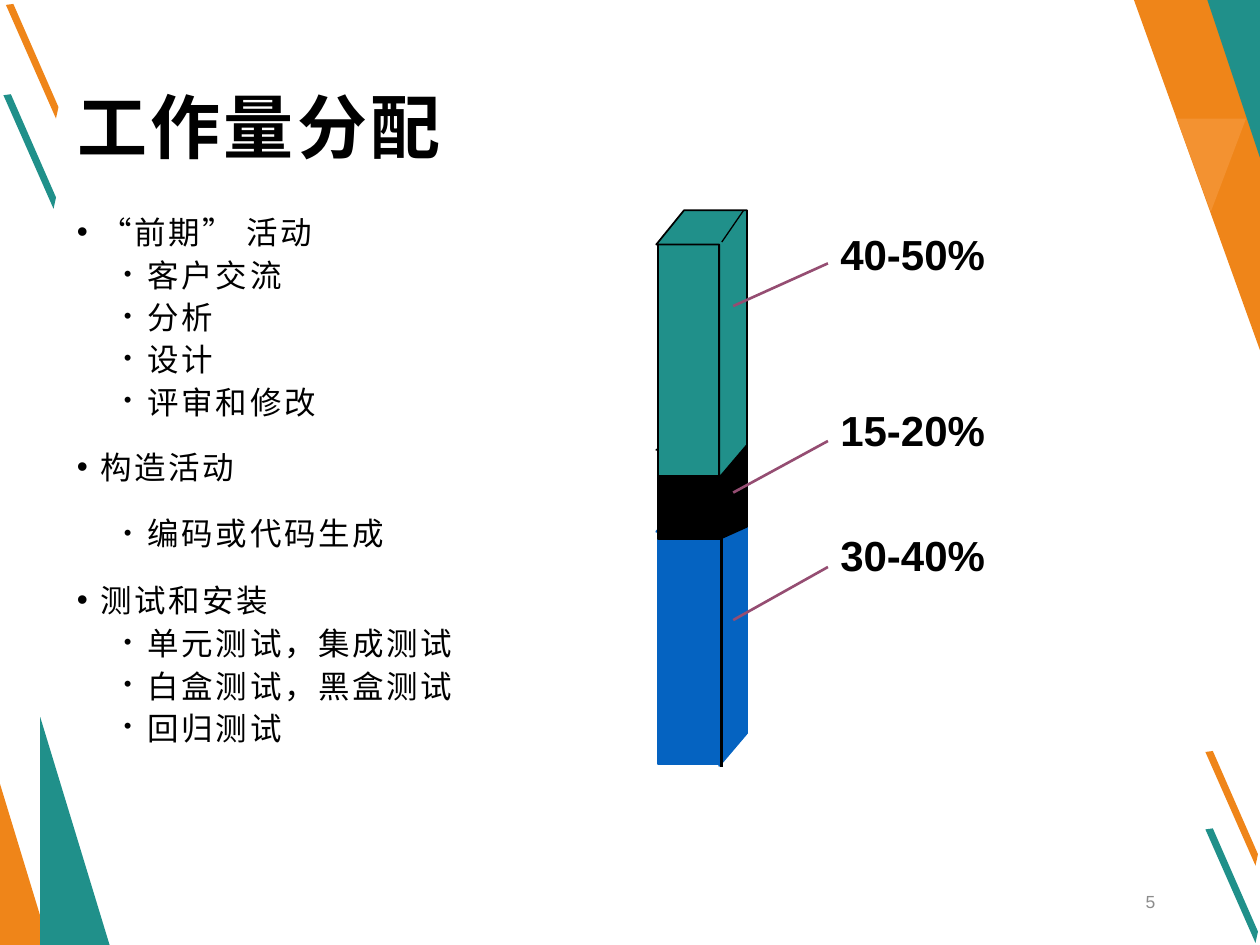
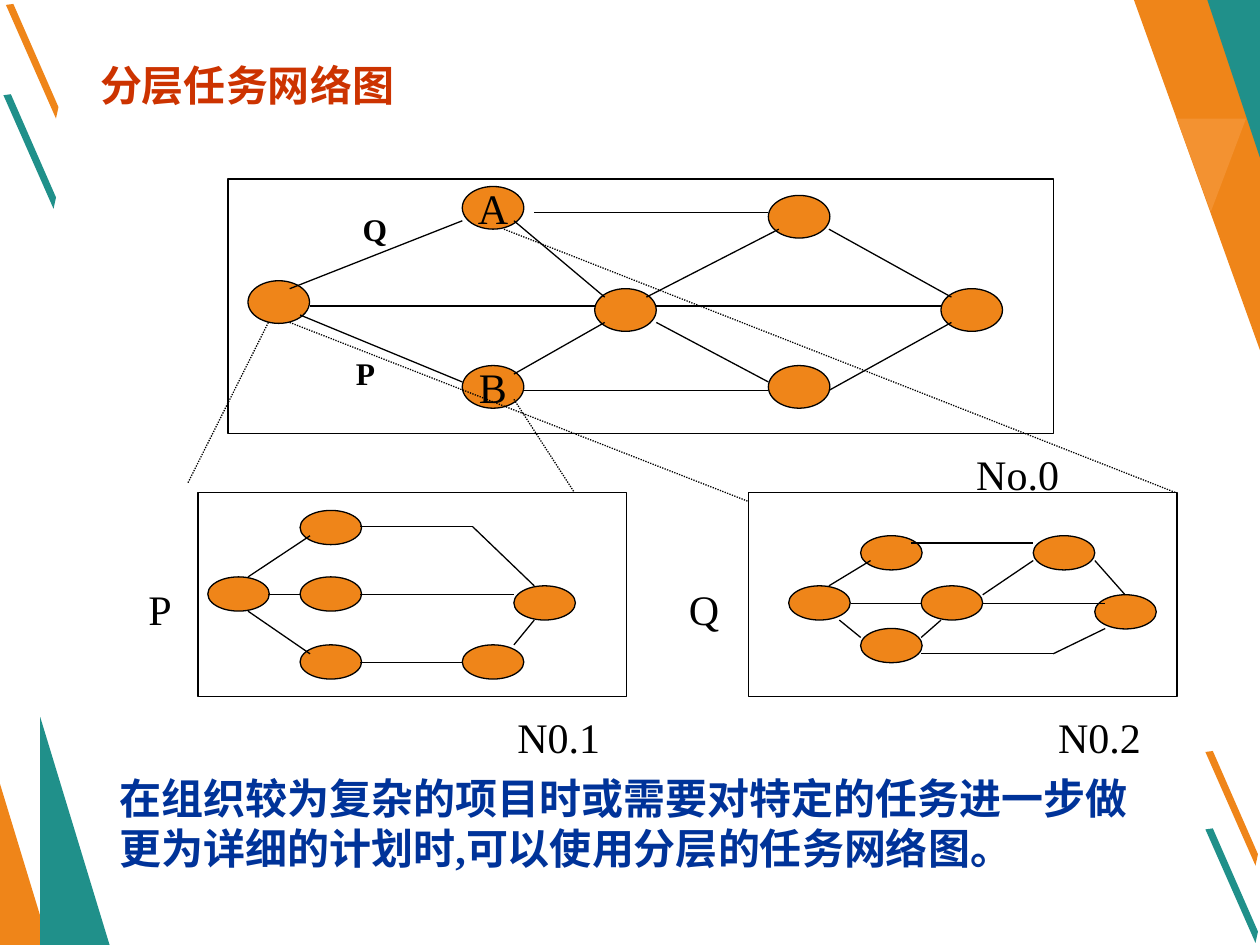
"""Build two slides on work effort shares and layered task networks."""
import dataclasses

import lxml.etree
import pptx
import pptx.dml.color
import pptx.enum.dml
import pptx.enum.shapes
import pptx.enum.text
import pptx.oxml.ns
import pptx.util

Cm = pptx.util.Cm
Pt = pptx.util.Pt
Rgb = pptx.dml.color.RGBColor.from_string
qn = pptx.oxml.ns.qn
Kind = pptx.enum.shapes.MSO_SHAPE
Align = pptx.enum.text.PP_ALIGN
Anchor = pptx.enum.text.MSO_ANCHOR


@dataclasses.dataclass(frozen=True)
class Theme:
    orange: str = "EF8519"
    light: str = "F39231"
    teal: str = "20908A"
    blue: str = "0563C1"
    plum: str = "954D72"
    black: str = "000000"
    grey: str = "8C8C8C"
    navy: str = "003399"
    red: str = "CC3300"
    sans: str = "Arial"
    serif: str = "Times New Roman"
    asian: str = "Noto Sans CJK SC"
    title: int = 40
    large: int = 24
    body: int = 18
    small: int = 10
    thin: float = 0.75
    thick: float = 1.5


look = Theme()


def paint(shape, fill=None, line=None, width=look.thin):
    shape.shadow.inherit = False
    if fill:
        shape.fill.solid()
        shape.fill.fore_color.rgb = Rgb(fill)
    else:
        shape.fill.background()
    if line:
        shape.line.color.rgb = Rgb(line)
        shape.line.width = Pt(width)
    else:
        shape.line.fill.background()


def write(para, text, size, color=look.black, face=look.serif, bold=False, align=Align.LEFT, space=0):
    para.text = text
    para.alignment = align
    font = para.font
    font.size, font.name, font.bold = Pt(size), face, bold
    font.color.rgb = Rgb(color)
    props = para._p.pPr.find(qn("a:defRPr"))
    props.set("spc", str(int(space * 100)))
    lxml.etree.SubElement(props, qn("a:ea"), typeface=look.asian)


deck = pptx.Presentation()
deck.slide_width, deck.slide_height = Cm(25.4), Cm(19.05)
effort, network = [deck.slides.add_slide(deck.slide_layouts[5]) for _ in range(2)]

strip = [(0, 0), (0.15, -0.02), (1.06, 2.06), (1.01, 2.29)]
starts = [(24.3, 15.16, look.orange), (0.07, 1.92, look.teal),
          (0.12, 0.1, look.orange), (24.3, 16.72, look.teal)]
decor = [(color, [(left + x, top + y) for x, y in strip]) for left, top, color in starts]
decor += [
    (look.orange, [(22.86, 0), (25.4, 0), (25.4, 7.06)]),
    (look.teal, [(24.34, 0), (25.4, 0), (25.4, 3.18)]),
    (look.light, [(25.12, 2.39), (24.41, 4.27), (23.72, 2.39)]),
    (look.orange, [(0, 15.8), (0, 19.05), (0.99, 19.05)]),
    (look.teal, [(0.81, 14.45), (0.81, 19.05), (2.21, 19.05)]),
]
for index, (color, points) in enumerate(decor):
    points = [(Cm(x), Cm(y)) for x, y in points]
    outline = effort.shapes.build_freeform(*points[0])
    outline.add_line_segments(points[1:])
    shape = outline.convert_to_shape()
    paint(shape, color)
    shape.element.nvSpPr.cNvPr.set("id", str(100 + index))
    deck.slide_master.shapes.element.append(shape.element)

titles = [
    (effort, "工作量分配", (1.3, 1.12, 22.81, 2.39), Anchor.BOTTOM,
     dict(size=look.title, face=look.asian, space=2)),
    (network, "分层任务网络图", (1.27, 1.07, 7.42, 1.27), Anchor.MIDDLE,
     dict(size=look.large, color=look.red, align=Align.CENTER)),
]
for slide, text, box, anchor, style in titles:
    title = slide.shapes.title
    title.left, title.top, title.width, title.height = map(Cm, box)
    frame = title.text_frame
    frame.auto_size = pptx.enum.text.MSO_AUTO_SIZE.NONE
    frame.vertical_anchor = anchor
    write(frame.paragraphs[0], text, bold=True, **style)

points = [
    (0, 1.3, "“前期” 活动"),
    (1, 0.65, "客户交流"),
    (1, 0.65, "分析"),
    (1, 0.65, "设计"),
    (1, 0.65, "评审和修改"),
    (0, 1.3, "构造活动"),
    (1, 1.3, "编码或代码生成"),
    (0, 1.3, "测试和安装"),
    (1, 0.65, "单元测试，集成测试"),
    (1, 0.65, "白盒测试，黑盒测试"),
    (1, 0.65, "回归测试"),
]
frame = effort.shapes.add_textbox(Cm(1.3), Cm(3.94), Cm(22.81), Cm(13.59)).text_frame
frame.word_wrap = True
for index, (level, pitch, text) in enumerate(points):
    para = frame.add_paragraph() if index else frame.paragraphs[0]
    para.level, para.line_spacing, para.space_after = level, pitch, Pt(10)
    props = para._p.get_or_add_pPr()
    props.set("marL", str(Cm((0.48, 1.43)[level])))
    props.set("indent", str(Cm(-0.48)))
    lxml.etree.SubElement(props, qn("a:buSzPct"), val=("100000", "70000")[level])
    lxml.etree.SubElement(props, qn("a:buFont"), typeface=look.sans)
    lxml.etree.SubElement(props, qn("a:buChar"), char="•")
    write(para, text, look.body, face=(look.asian, look.sans)[level], space=1.5)

blocks = [
    (look.blue, look.blue, 10.74, 4.67, (15.44, 14.78, 10.06, 10.72)),
    (look.black, look.black, 9.09, 1.78, (10.87, 10.62, 8.81, 9.07)),
    (look.teal, look.black, 4.93, 4.67, (9.63, 8.97, 4.24, 4.93)),
]
for color, edge, top, height, (base, rear, peak, brow) in blocks:
    front = effort.shapes.add_shape(Kind.RECTANGLE, Cm(13.26), Cm(top), Cm(1.24), Cm(height))
    paint(front, color, edge, 1)
    outline = effort.shapes.build_freeform(Cm(14.5), Cm(base))
    outline.add_line_segments([(Cm(x), Cm(y)) for x, y in (
        (15.06, rear), (15.06, peak), (13.79, peak), (13.23, brow), (14.5, brow))])
    paint(outline.convert_to_shape(), color, edge, 1)

oval_sets = [
    (0.86, [(5, 5.66, ""), (11.99, 5.82, ""), (18.97, 5.82, ""), (15.49, 3.94, ""),
            (9.32, 7.37, "B"), (9.32, 3.76, "A"), (15.49, 7.37, "")]),
    (0.69, [(4.19, 11.63, ""), (6.05, 10.29, ""), (6.05, 11.63, ""), (6.05, 13, ""),
            (9.32, 13, ""), (10.36, 11.81, ""), (15.9, 11.81, ""), (17.35, 10.8, ""),
            (17.35, 12.67, ""), (18.57, 11.81, ""), (20.83, 10.8, ""), (22.07, 11.99, "")]),
]
for height, ovals in oval_sets:
    for left, top, text in ovals:
        oval = network.shapes.add_shape(Kind.OVAL, Cm(left), Cm(top), Cm(1.24), Cm(height))
        paint(oval, look.orange, look.black)
        if text:
            oval.text_frame.word_wrap = False
            oval.text_frame.vertical_anchor = Anchor.MIDDLE
            write(oval.text_frame.paragraphs[0], text, look.large, align=Align.CENTER)

for box in [(4.6, 3.61, 16.64, 5.13), (3.99, 9.93, 8.64, 4.11), (15.09, 9.93, 8.64, 4.11)]:
    paint(network.shapes.add_shape(Kind.RECTANGLE, *map(Cm, box)), line=look.black)

main_links = [
    (5.84, 5.82, 9.32, 4.45), (10.77, 4.29, 15.49, 4.29), (13.03, 5.99, 15.7, 4.62),
    (10.36, 7.54, 12.19, 6.5), (6.25, 6.17, 11.99, 6.17), (13.23, 6.17, 18.97, 6.17),
    (16.71, 4.62, 19.18, 5.99), (6.05, 6.35, 9.32, 7.7), (10.57, 7.87, 15.49, 7.87),
    (16.71, 7.87, 19.18, 6.5), (10.36, 4.45, 12.19, 5.99), (13.23, 6.5, 15.49, 7.7),
]
left_links = [
    (5, 11.63, 6.25, 10.8), (7.26, 10.62, 9.53, 10.62), (9.53, 10.62, 10.77, 11.81),
    (5.41, 11.99, 6.05, 11.99), (7.26, 11.99, 10.36, 11.99), (5, 12.32, 6.25, 13.18),
    (7.26, 13.36, 9.32, 13.36), (10.36, 13, 10.77, 12.5),
]
right_links = [
    (16.71, 11.81, 17.55, 11.3), (18.36, 10.95, 20.83, 10.95), (19.81, 11.99, 20.83, 11.3),
    (16.92, 12.5, 17.35, 12.85), (18.57, 12.85, 18.97, 12.5), (18.57, 13.18, 21.23, 13.18),
    (21.23, 13.18, 22.28, 12.67), (22.07, 11.3, 22.68, 11.99),
    (17.15, 12.17, 18.57, 12.17), (19.81, 12.17, 22.28, 12.17),
]
zooms = [(5.41, 6.5, 3.78, 9.75), (5.84, 6.5, 15.09, 10.11),
         (10.36, 8.05, 11.58, 9.93), (10.16, 4.62, 23.7, 9.93)]
leaders = [(16.69, 5.31, 14.78, 6.17), (16.69, 8.89, 14.78, 9.93), (16.69, 11.43, 14.78, 12.5)]
dots = pptx.enum.dml.MSO_LINE.ROUND_DOT
line_sets = [
    (effort, leaders, look.plum, look.thick, None),
    (effort, [(14.55, 10.8, 14.55, 15.47)], look.black, look.thick, None),
    (effort, [(14.55, 4.88, 14.99, 4.24)], look.black, look.thin, None),
    (network, main_links + left_links + right_links, look.black, look.thin, None),
    (network, zooms, look.black, look.thin, dots),
]
for slide, ends, color, width, dash in line_sets:
    for end in ends:
        link = slide.shapes.add_connector(pptx.enum.shapes.MSO_CONNECTOR.STRAIGHT, *map(Cm, end))
        link.line.color.rgb = Rgb(color)
        link.line.width = Pt(width)
        if dash:
            link.line.dash_style = dash
        lxml.etree.SubElement(link.element.spPr, qn("a:effectLst"))

share = dict(size=look.large, face=look.sans, bold=True)
branch = dict(size=look.body, bold=True, align=Align.CENTER)
name = dict(size=look.large, align=Align.CENTER)
labels = [
    (effort, "40-50%", (16.69, 4.6, 3.43, 1.17), share),
    (effort, "15-20%", (16.69, 8.15, 3.43, 1.17), share),
    (effort, "30-40%", (16.69, 10.67, 3.43, 1.17), share),
    (effort, "5", (17.93, 17.63, 5.61, 0.89),
     dict(size=look.small, color=look.grey, face=look.sans, align=Align.RIGHT)),
    (network, "Q", (7.06, 4.11, 0.81, 1.02), branch),
    (network, "P", (6.86, 7.01, 1.02, 1.02), branch),
    (network, "P", (2.74, 11.63, 0.81, 1.27), name),
    (network, "Q", (13.64, 11.63, 1.02, 1.27), name),
    (network, "No.0", (19.18, 8.92, 2.67, 1.27), name),
    (network, "N0.1", (9.93, 14.22, 2.67, 1.27), name),
    (network, "N0.2", (20.83, 14.22, 2.67, 1.27), name),
    (network, "在组织较为复杂的项目时或需要对特定的任务进一步做更为详细的计划时,可以使用分层的任务网络图。",
     (2.16, 15.44, 21.34, 2.31), dict(size=look.large, color=look.navy, bold=True)),
]
for slide, text, box, style in labels:
    frame = slide.shapes.add_textbox(*map(Cm, box)).text_frame
    frame.word_wrap = True
    frame.vertical_anchor = Anchor.BOTTOM if style["size"] == look.small else Anchor.TOP
    para = frame.paragraphs[0]
    if style is share:
        para.line_spacing = 0.9
    write(para, text, **style)

deck.save("out.pptx")
